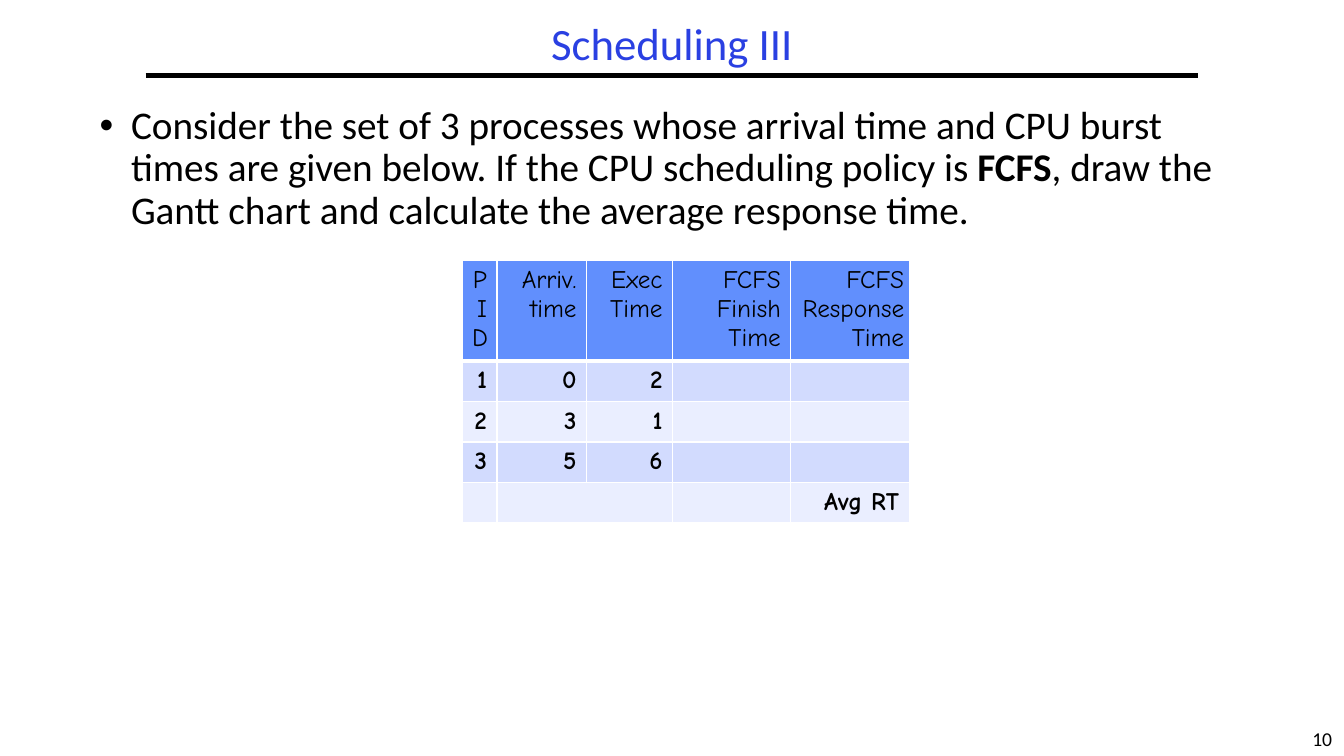
"""Builds the Scheduling III slide with its FCFS process table."""
import lxml.etree
import pptx
import pptx.dml.color
import pptx.enum.shapes
import pptx.enum.text
import pptx.oxml.ns
import pptx.util

Pt = pptx.util.Pt
RGBColor = pptx.dml.color.RGBColor
Align = pptx.enum.text.PP_ALIGN
Anchor = pptx.enum.text.MSO_ANCHOR
qn = pptx.oxml.ns.qn

TITLE = "Scheduling III"
QUESTION = [
    ("Consider the set of 3 processes whose arrival time and CPU burst times are given below. "
     "If the CPU scheduling policy is ", False),
    ("FCFS", True),
    (", draw the Gantt chart and calculate the average response time.", False),
]
PAGE_NUMBER = "10"
PROCESSES = [
    ("PID", "Arriv. time", "Exec Time", "FCFS\nFinish Time", "FCFS\nResponse Time"),
    ("1", "0", "2", "", ""),
    ("2", "3", "1", "", ""),
    ("3", "5", "6", "", ""),
    ("", "", "", "", "Avg RT"),
]
COLUMN_WIDTHS = (25, 64, 61.5, 84.5, 84.5)
HEADER_HEIGHT, ROW_HEIGHT = 69.2, 28.1
TABLE_LEFT, TABLE_TOP = 330, 186
RULE_LEFT, RULE_RIGHT, RULE_TOP = 104, 856, 54

TEXT_FONT, TABLE_FONT = "Calibri", "Comic Neue"
BLACK = RGBColor(0x00, 0x00, 0x00)
BLUE = RGBColor(0x2A, 0x40, 0xE2)
HEADER_FILL = RGBColor(0x61, 0x8F, 0xFD)
BAND_FILLS = (RGBColor(0xEA, 0xEE, 0xFF), RGBColor(0xD2, 0xDB, 0xFE))
BORDER = "FFFFFF"


def style(span, name, size, color, bold=False):
    span.font.name = name
    span.font.size = Pt(size)
    span.font.color.rgb = color
    span.font.bold = bold


def add_text(page, place, spans, size, color, align, anchor=Anchor.TOP, wrap=True):
    box = page.shapes.add_textbox(*map(Pt, place))
    frame = box.text_frame
    frame.word_wrap = wrap
    frame.vertical_anchor = anchor
    para = frame.paragraphs[0]
    para.alignment = align
    for text, bold in spans:
        span = para.add_run()
        span.text = text
        style(span, TEXT_FONT, size, color, bold)
    return para


def add_bullet(para, indent):
    properties = para._p.get_or_add_pPr()
    properties.set("marL", str(Pt(indent)))
    properties.set("indent", str(-Pt(indent)))
    lxml.etree.SubElement(properties, qn("a:buFont"), typeface="Arial")
    lxml.etree.SubElement(properties, qn("a:buChar"), char="•")


def set_borders(cell, widths):
    properties = cell._tc.get_or_add_tcPr()
    for position, (side, width) in enumerate(zip("LRTB", widths)):
        line = lxml.etree.Element(qn("a:ln" + side), w=str(Pt(width)))
        fill = lxml.etree.SubElement(line, qn("a:solidFill"))
        lxml.etree.SubElement(fill, qn("a:srgbClr"), val=BORDER)
        properties.insert(position, line)


def fill_cell(cell, text, row):
    cell.text_frame.text = text
    cell.fill.solid()
    cell.fill.fore_color.rgb = BAND_FILLS[row % 2] if row else HEADER_FILL
    set_borders(cell, (1, 1, 3 if row == 1 else 1, 3 if row == 0 else 1))
    for para in cell.text_frame.paragraphs:
        para.alignment = Align.RIGHT
        for span in para.runs:
            style(span, TABLE_FONT, 18, BLACK, row > 0)
        if not para.runs:
            ending = lxml.etree.SubElement(para._p, qn("a:endParaRPr"), sz="1800")
            lxml.etree.SubElement(ending, qn("a:latin"), typeface=TABLE_FONT)


def add_process_table(page):
    heights = [HEADER_HEIGHT] + [ROW_HEIGHT] * (len(PROCESSES) - 1)
    frame = page.shapes.add_table(
        len(heights), len(COLUMN_WIDTHS), Pt(TABLE_LEFT), Pt(TABLE_TOP),
        Pt(sum(COLUMN_WIDTHS)), Pt(sum(heights)))
    table = frame.table
    for column, width in zip(table.columns, COLUMN_WIDTHS):
        column.width = Pt(width)
    for row, height in zip(table.rows, heights):
        row.height = Pt(height)
    for row, texts in enumerate(PROCESSES):
        for column, text in enumerate(texts):
            fill_cell(table.cell(row, column), text, row)
    response = table.cell(0, len(COLUMN_WIDTHS) - 1)
    response.margin_left = response.margin_right = Pt(3.6)
    last = len(PROCESSES) - 1
    table.cell(last, 1).merge(table.cell(last, 2))


def main():
    deck = pptx.Presentation()
    deck.slide_width, deck.slide_height = Pt(960), Pt(540)
    page = deck.slides.add_slide(deck.slide_layouts[6])

    add_text(page, (929, 516, 31, 24), [(PAGE_NUMBER, False)], 14, BLACK,
             Align.CENTER, wrap=False)

    rule = page.shapes.add_connector(
        pptx.enum.shapes.MSO_CONNECTOR.STRAIGHT,
        Pt(RULE_LEFT), Pt(RULE_TOP), Pt(RULE_RIGHT), Pt(RULE_TOP))
    rule.line.color.rgb = BLACK
    rule.line.width = Pt(3)
    lxml.etree.SubElement(rule._element.spPr, qn("a:effectLst"))

    title = add_text(page, (RULE_LEFT, 12, RULE_RIGHT - RULE_LEFT, 42), [(TITLE, False)],
                     32, BLUE, Align.CENTER, Anchor.MIDDLE)
    title.line_spacing = 0.9

    question = add_text(page, (64, 72, 832, 402), QUESTION, 28, BLACK, Align.LEFT)
    add_bullet(question, 22.5)
    question.line_spacing = 0.9

    add_process_table(page)
    deck.save("out.pptx")


if __name__ == "__main__":
    main()
